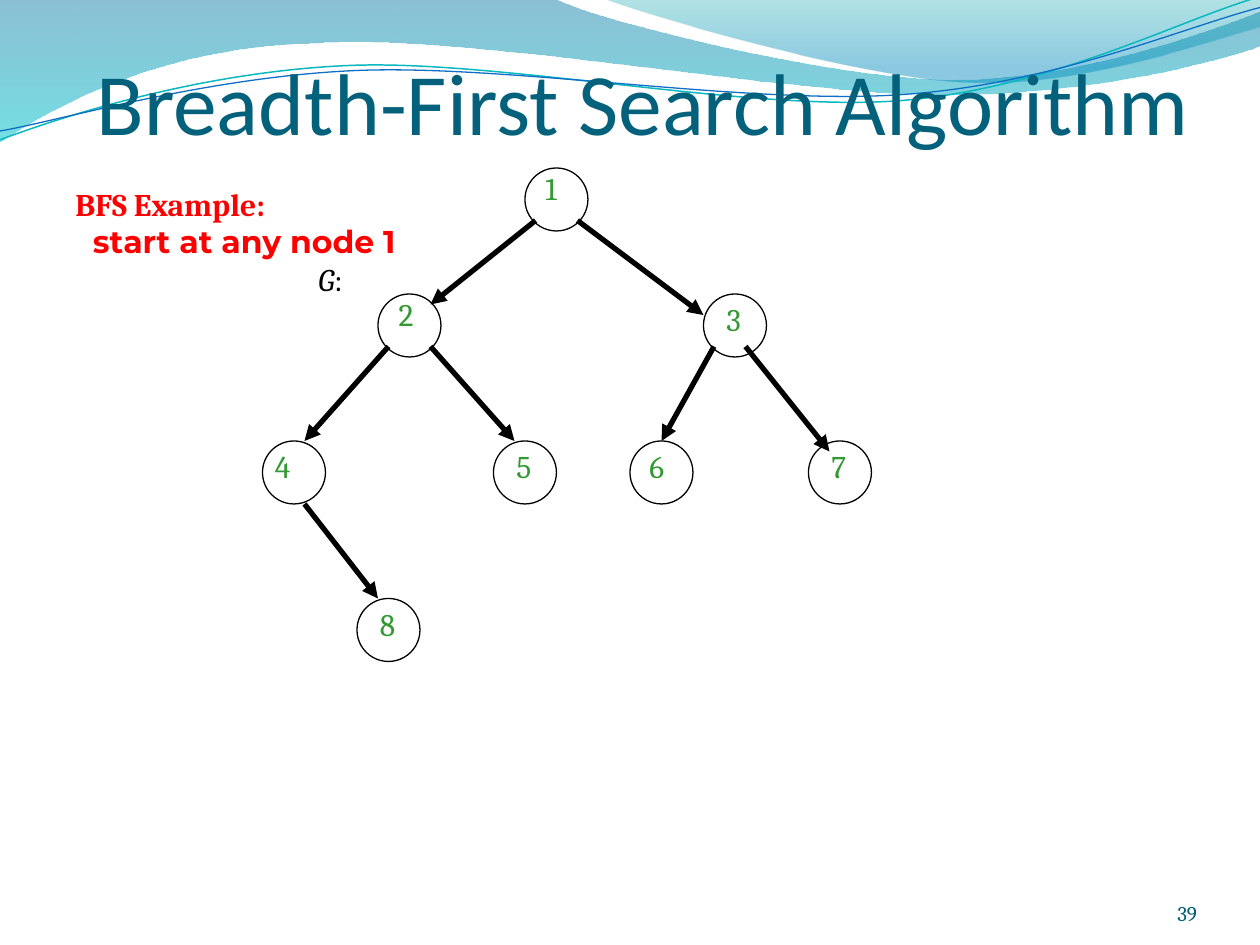
import math

import pptx
import pptx.util
from lxml import etree
from pptx.dml.color import RGBColor
from pptx.enum.shapes import MSO_CONNECTOR, MSO_SHAPE
from pptx.enum.text import MSO_ANCHOR, MSO_AUTO_SIZE, PP_ALIGN
from pptx.oxml.ns import qn

Pt = pptx.util.Pt

BLACK = RGBColor(0x00, 0x00, 0x00)
RED = RGBColor(0xFF, 0x00, 0x00)
GREEN = RGBColor(0x33, 0x99, 0x33)
TITLE_BLUE = RGBColor(0x04, 0x61, 0x7B)
NUMBER_BLUE = RGBColor(0x04, 0x5D, 0x75)
DEEP_BLUE = RGBColor(0x00, 0x74, 0xA1)
CYAN = RGBColor(0x00, 0xC6, 0xCF)
TEAL = RGBColor(0x00, 0xA1, 0xA9)
SKY = RGBColor(0x00, 0x8B, 0xBF)
LINE_TEAL = RGBColor(0x0A, 0xB8, 0xBF)
LINE_BLUE = RGBColor(0x0F, 0x6F, 0xC6)

TITLE = "Breadth-First Search Algorithm"
PAGE = "39"
NODE_SIZE = 36
# label: (node left, node top, label offset x, label offset y)
NODES = {
    "1": (300, 96, 4.6, -2.7),
    "2": (216, 168, 4.7, -2.7),
    "3": (402, 168, 6, 0),
    "4": (150, 252, 0, 0),
    "5": (282, 252, 6, 0),
    "6": (360, 252, 4, 0),
    "7": (462, 252, 6, 0),
    "8": (204, 342, 6, 0),
}
# parent, child, start offset in parent, end offset in child
EDGES = [
    ("1", "2", (6, 30), (30, 6)),
    ("2", "4", (6, 30), (24, 0)),
    ("2", "5", (30, 30), (12, 0)),
    ("4", "8", (24, 36), (12, 0)),
    ("1", "3", (30, 30), (0, 12)),
    ("3", "6", (6, 30), (18, 0)),
    ("3", "7", (24, 30), (12, 6)),
]
# left margin, runs of (text, font, colour, bold, italic)
NOTES = [
    (36, [("BFS Example:", "Cambria", RED, True, False)]),
    (46, [("start at any node 1", "Montserrat", RED, True, False)]),
    (174.8, [("G", "Cambria", BLACK, False, True), (":", "Cambria", BLACK, False, False)]),
]
# Outlines in inches: one point is a straight step, three are a Bezier curve
BANDS = [
    ([[(0, 0)], [(4.4, -0.01)], [(4.76, 0.17), (6.64, 0.63), (7.58, 0.63)],
      [(8.53, 0.63), (9.58, 0.26), (10, 0.09)], [(10.01, 0.36)],
      [(9.83, 0.44), (8.7, 0.76), (7.46, 0.75)], [(6.22, 0.75), (3.82, 0.28), (2.57, 0.34)],
      [(1.29, 0.36), (0.46, 0.83), (-0.01, 1.13)]],
     [(0, DEEP_BLUE, 45), (1, CYAN, 55)]),
    ([[(4.79, -0.01)], [(5.09, 0.11), (6.82, 0.62), (7.69, 0.65)],
      [(8.56, 0.69), (9.61, 0.32), (10, 0.21)], [(10, 0)]],
     [(0, TEAL, 30), (0.8, SKY, 45)]),
]
WAVE_TILT = -2.7
# outline, centre of tilt, colour, width
WAVES = [
    ([[(0, 1.11)], [(0.48, 0.93), (1.58, 0.57), (2.77, 0.52)],
      [(3.95, 0.47), (5.93, 0.89), (7.13, 0.8)], [(8.33, 0.71), (9.38, 0.15), (9.98, -0.02)]],
     (4.99, 0.57), LINE_TEAL, 0.85),
    ([[(0, 1.04)], [(0.47, 0.96), (1.64, 0.61), (2.83, 0.56)],
      [(4.03, 0.51), (5.97, 0.84), (7.17, 0.75)], [(8.36, 0.67), (9.41, 0.21), (10, 0.06)]],
     (5, 0.59), LINE_BLUE, 0.75),
]


def add_outline(s, outline, close):
    """Draw a freeform through the end points, then bend its curved steps."""
    steps = [[(Pt(72 * x), Pt(72 * y)) for x, y in step] for step in outline]
    ends = [step[-1] for step in steps]
    builder = s.shapes.build_freeform(*ends[0])
    builder.add_line_segments(ends[1:], close=close)
    sp = builder.convert_to_shape()
    sp.shadow.inherit = False
    left, top = (min(values) for values in zip(*ends))
    segments = list(sp._element.iter(qn("a:lnTo")))
    for segment, step in zip(segments, steps[1:]):
        if len(step) == 3:
            curve = etree.Element(qn("a:cubicBezTo"))
            for x, y in step:
                pt = etree.SubElement(curve, qn("a:pt"))
                pt.set("x", str(x - left))
                pt.set("y", str(y - top))
            segment.getparent().replace(segment, curve)
    return sp


def add_band(s, outline, stops):
    sp = add_outline(s, outline, True)
    sp.line.fill.background()
    sp.fill.gradient()
    sp.fill.gradient_angle = 270
    for stop, (position, color, _) in zip(sp.fill.gradient_stops, stops):
        stop.position = position
        stop.color.rgb = color
    colors = sp.fill._xPr.find(qn("a:gradFill")).iter(qn("a:srgbClr"))
    for element, (_, _, opacity) in zip(colors, stops):
        etree.SubElement(element, qn("a:alpha")).set("val", str(opacity * 1000))


def turn(point, centre, degrees):
    a = math.radians(degrees)
    dx, dy = point[0] - centre[0], point[1] - centre[1]
    return (centre[0] + dx * math.cos(a) - dy * math.sin(a),
            centre[1] + dx * math.sin(a) + dy * math.cos(a))


def add_wave(s, outline, centre, color, width):
    level = [[turn(point, centre, -WAVE_TILT) for point in step] for step in outline]
    sp = add_outline(s, level, False)
    sp.rotation = WAVE_TILT
    sp.fill.background()
    sp.line.color.rgb = color
    sp.line.width = Pt(width)


def add_arrow(s, start, end):
    line = s.shapes.add_connector(MSO_CONNECTOR.STRAIGHT, *map(Pt, start + end))
    line.line.color.rgb = BLACK
    line.line.width = Pt(3)
    etree.SubElement(line.line._get_or_add_ln(), qn("a:tailEnd")).set("type", "triangle")
    etree.SubElement(line._element.spPr, qn("a:effectLst"))


def add_node(s, left, top):
    sp = s.shapes.add_shape(MSO_SHAPE.OVAL, Pt(left), Pt(top), Pt(NODE_SIZE), Pt(NODE_SIZE))
    sp.shadow.inherit = False
    sp.fill.background()
    sp.line.color.rgb = BLACK
    sp.line.width = Pt(0.75)


def style(r, font, size, color, bold=False, italic=False):
    r.font.name = font
    r.font.size = Pt(size)
    r.font.color.rgb = color
    r.font.bold = bold
    r.font.italic = italic


def add_text(s, left, top, width, height, text, size, color):
    tf = s.shapes.add_textbox(Pt(left), Pt(top), Pt(width), Pt(height)).text_frame
    tf.text = text
    style(tf.paragraphs[0].runs[0], "Cambria", size, color)
    return tf


def add_title(s):
    sp = s.shapes.title
    sp.left, sp.top, sp.width, sp.height = Pt(48), Pt(24), Pt(648), Pt(90)
    tf = sp.text_frame
    tf.text = TITLE
    tf.vertical_anchor = MSO_ANCHOR.TOP
    tf.auto_size = MSO_AUTO_SIZE.NONE
    tf.paragraphs[0].alignment = PP_ALIGN.LEFT
    style(tf.paragraphs[0].runs[0], "Calibri", 50, TITLE_BLUE)


def add_notes(s):
    tf = s.shapes.add_textbox(Pt(0), Pt(102), Pt(667.4), Pt(94.3)).text_frame
    tf.word_wrap = True
    for i, (margin, runs) in enumerate(NOTES):
        p = tf.add_paragraph() if i else tf.paragraphs[0]
        p._p.get_or_add_pPr().set("marL", str(Pt(margin)))
        for text, font, color, bold, italic in runs:
            r = p.add_run()
            r.text = text
            style(r, font, 18, color, bold, italic)


def main():
    prs = pptx.Presentation()
    prs.slide_width, prs.slide_height = Pt(720), Pt(540)
    s = prs.slides.add_slide(prs.slide_layouts[5])
    for band in BANDS:
        add_band(s, *band)
    for wave in WAVES:
        add_wave(s, *wave)

    tf = add_text(s, 624, 500.4, 60, 28.8, PAGE, 12, NUMBER_BLUE)
    tf.margin_left = tf.margin_right = tf.margin_top = tf.margin_bottom = 0
    tf.vertical_anchor = MSO_ANCHOR.BOTTOM
    tf.paragraphs[0].alignment = PP_ALIGN.RIGHT

    for left, top, _, _ in NODES.values():
        add_node(s, left, top)
    for parent, child, (x1, y1), (x2, y2) in EDGES:
        (px, py), (cx, cy) = NODES[parent][:2], NODES[child][:2]
        add_arrow(s, (px + x1, py + y1), (cx + x2, cy + y2))
    for label, (left, top, dx, dy) in NODES.items():
        tf = add_text(s, left + dx, top + dy, 26.6, NODE_SIZE, label, 18, GREEN)
        tf.word_wrap = False

    add_title(s)
    # The title belongs in front of the waves
    s.shapes._spTree.append(s.shapes.title._element)
    add_notes(s)
    prs.save("out.pptx")


if __name__ == "__main__":
    main()
